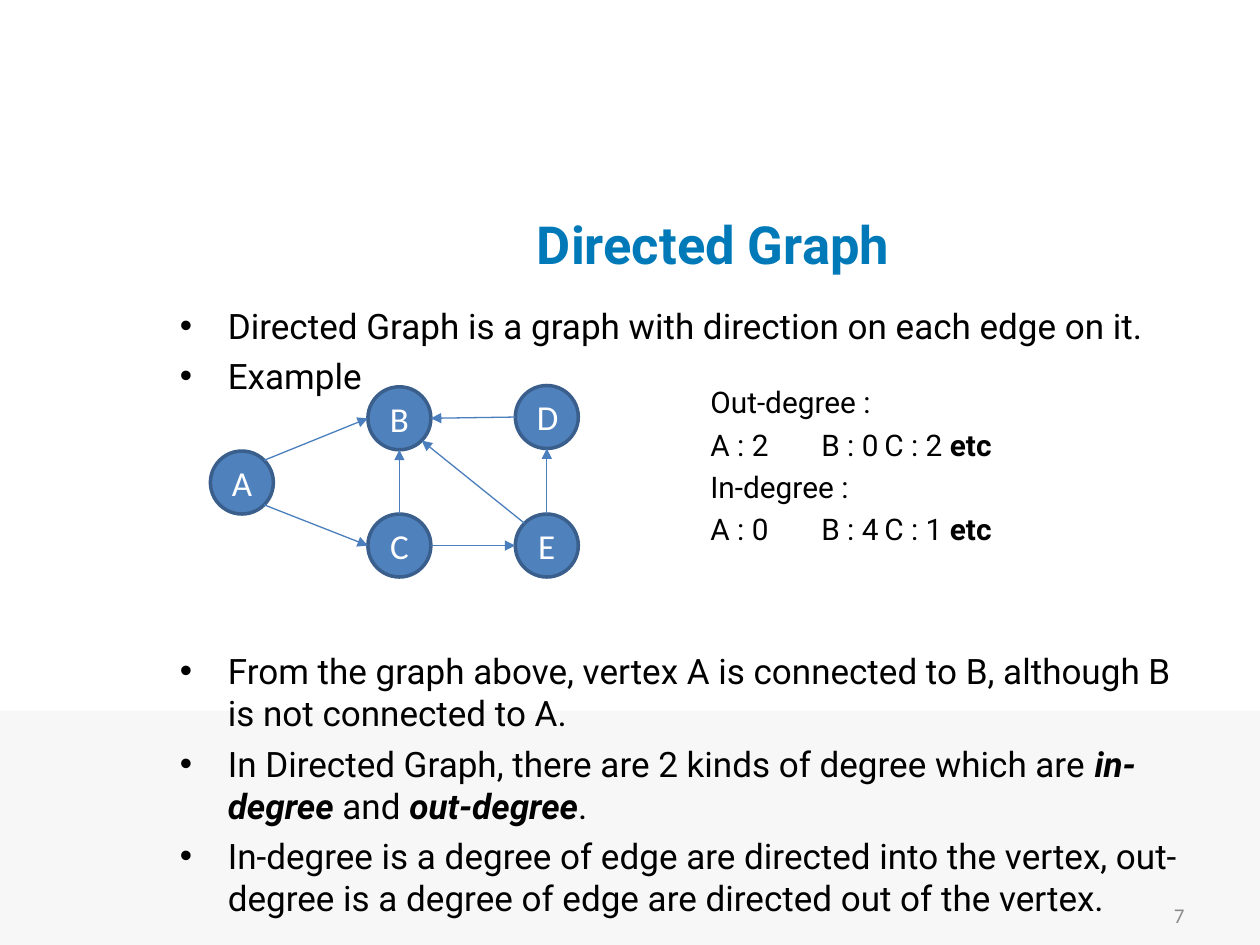
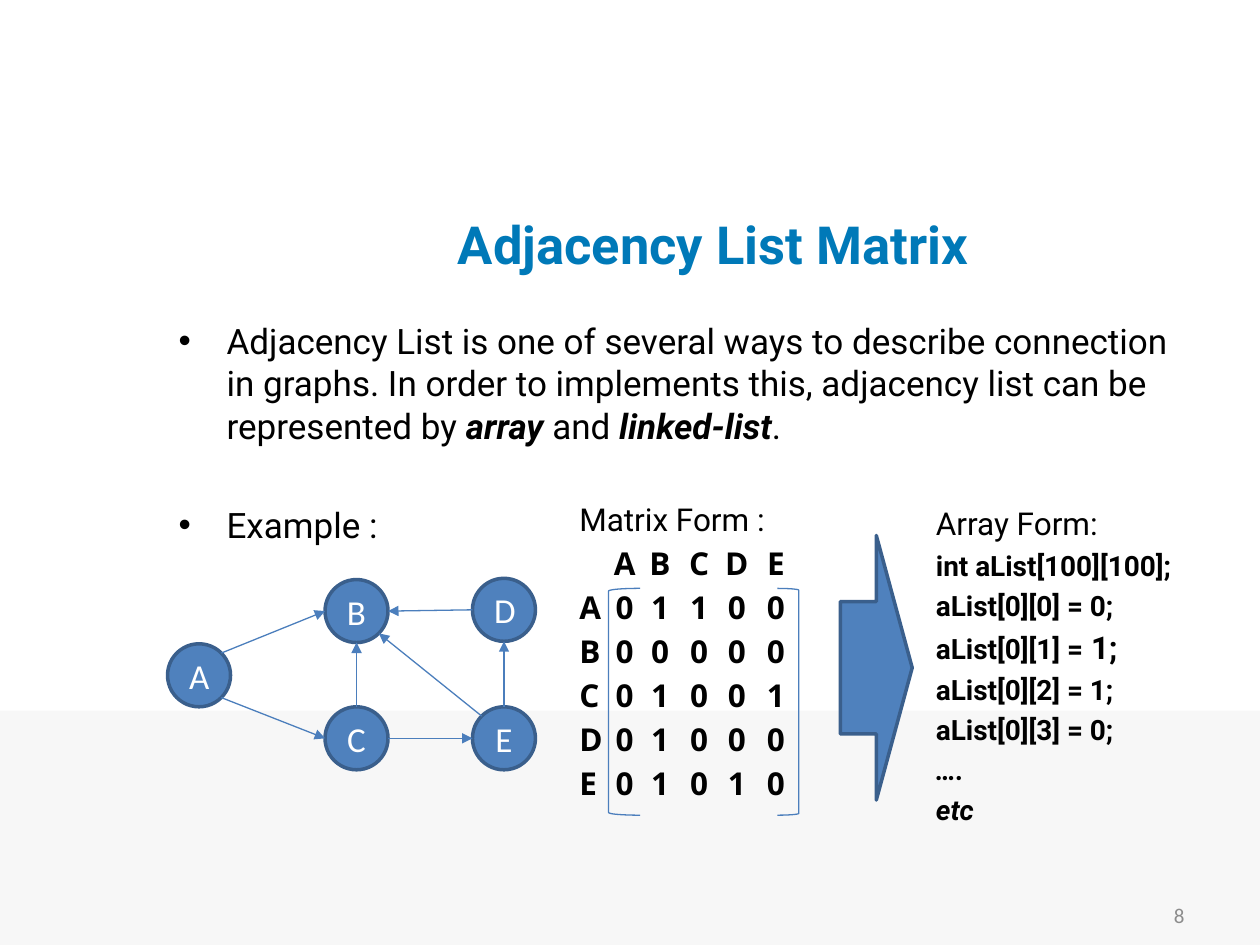
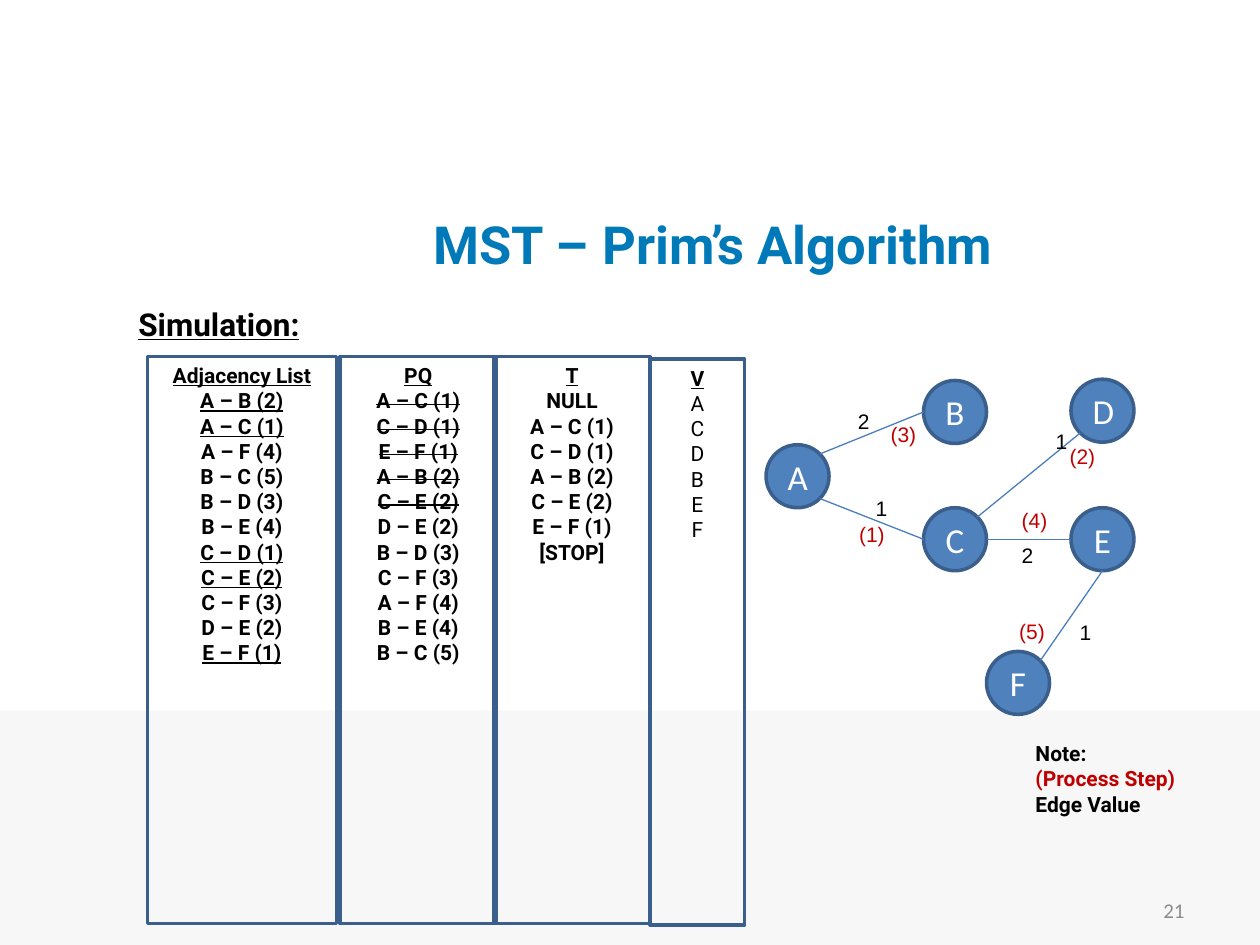
"""Build three slides on directed graphs, adjacency matrices and Prim's algorithm."""
from math import cos, radians, sin

from lxml.etree import SubElement
from pptx import Presentation
from pptx.dml.color import RGBColor
from pptx.enum.shapes import MSO_CONNECTOR as Connector, MSO_SHAPE as Shape
from pptx.enum.text import MSO_ANCHOR as Anchor, PP_ALIGN as Align
from pptx.oxml.ns import qn
from pptx.util import Inches, Pt

COLORS = {
    "band": "F7F7F7", "title": "0079B8", "number": "8C8C8C", "text": "000000",
    "node": "4F81BD", "outline": "3A5F8C", "edge": "4B7EBC", "white": "FFFFFF",
    "step": "C00000",
}
RADIUS = 0.25
NODES = {"A": (0, 0), "B": (1.25, -0.51), "C": (1.25, 0.5),
         "D": (2.42, -0.52), "E": (2.42, 0.5), "F": (1.75, 1.64)}
ANGLES = {"E": 0, "SE": 45, "S": 90, "SW": 135, "W": 180, "NW": 225, "N": 270, "NE": 315}
DIRECTED = ["A.NE B.W", "A.SE C.W", "C.N B.S", "C.E E.W", "E.N D.S", "E.NW B.SE", "D.W B.E"]
TREE = ["A.NE B.W", "A.SE C.W", "C.E E.W", "D.SW C.NE", "F.NE E.S"]


def place(page, at, paragraphs=(), kind=None, fill=None, line=None, width=2, align=Align.LEFT,
          anchor=Anchor.TOP, wrap=True, hanging=0, bullet=False, gap=0, tabs=(), **base):
    """Add a text box or preset shape; spans are strings or (text, format) pairs."""
    place_at = [Inches(value) for value in at]
    if kind is None:
        box = page.shapes.add_textbox(*place_at)
    else:
        box = page.shapes.add_shape(kind, *place_at)
        box.shadow.inherit = False
        if fill:
            box.fill.solid()
            box.fill.fore_color.rgb = RGBColor.from_string(COLORS[fill])
        else:
            box.fill.background()
        if line:
            box.line.color.rgb = RGBColor.from_string(COLORS[line])
            box.line.width = Pt(width)
        else:
            box.line.fill.background()
    frame = box.text_frame
    frame.word_wrap = wrap
    frame.vertical_anchor = anchor
    for index, spans in enumerate(paragraphs):
        para = frame.paragraphs[0] if index == 0 else frame.add_paragraph()
        para.alignment = align
        spans = spans if isinstance(spans, list) else [spans]
        for item in spans:
            text, extra = item if isinstance(item, tuple) else (item, {})
            style = {"size": 12, "font": "Roboto", "color": "text", **base, **extra}
            span = para.add_run()
            span.text = text
            span.font.size = Pt(style["size"])
            span.font.name = style["font"]
            span.font.color.rgb = RGBColor.from_string(COLORS[style["color"]])
            span.font.bold = style.get("bold", False)
            span.font.italic = style.get("italic", False)
            span.font.underline = style.get("underline", False)
            if style.get("strike"):
                span.font._element.set("strike", "sngStrike")
        para.space_before = Pt(gap)
        properties = para._p.get_or_add_pPr()
        if hanging:
            properties.set("marL", str(Inches(hanging)))
            properties.set("indent", str(-Inches(hanging)))
        if bullet:
            SubElement(properties, qn("a:buFont"), typeface="Arial")
            SubElement(properties, qn("a:buChar"), char="•")
        if tabs:
            stops = SubElement(properties, qn("a:tabLst"))
            for stop in tabs:
                SubElement(stops, qn("a:tab"), pos=str(Inches(stop)), algn="ctr")
    return box


def draw_graph(page, left, top, names, edges, arrows):
    """Draw lettered nodes with node A at left, top, joined from site to site."""
    for name in names:
        x, y = NODES[name]
        place(page, (left + x, top + y, 2 * RADIUS, 2 * RADIUS), [name], kind=Shape.OVAL,
              fill="node", line="outline", align=Align.CENTER, anchor=Anchor.MIDDLE,
              size=20, font="Calibri", color="white")
    for edge in edges:
        ends = []
        for end in edge.split():
            name, site = end.split(".")
            x, y = NODES[name]
            angle = radians(ANGLES[site])
            ends += [Inches(left + x + RADIUS * (1 + cos(angle))),
                     Inches(top + y + RADIUS * (1 + sin(angle)))]
        link = page.shapes.add_connector(Connector.STRAIGHT, *ends)
        link.line.color.rgb = RGBColor.from_string(COLORS["edge"])
        link.line.width = Pt(0.75)
        if arrows:
            SubElement(link.line._get_or_add_ln(), qn("a:tailEnd"), type="triangle")
        SubElement(link._element.spPr, qn("a:effectLst"))


deck = Presentation()
deck.slide_width, deck.slide_height = Inches(10), Inches(7.5)
pages = []
for title, number, number_top in [("Directed Graph", "7", 7.06), ("Adjacency List Matrix", "8", 7.06),
                                  ("MST – Prim’s Algorithm", "21", 7.02)]:
    page = deck.slides.add_slide(deck.slide_layouts[6])
    place(page, (0, 5.64, 10, 1.86), kind=Shape.RECTANGLE, fill="band")
    place(page, (1.92, 1.5, 7.48, 0.87), [title], align=Align.CENTER, anchor=Anchor.MIDDLE,
          size=30, color="title", bold=True)
    place(page, (7.17, number_top, 2.33, 0.4), [number], align=Align.RIGHT, anchor=Anchor.MIDDLE,
          font="Calibri", color="number")
    pages.append(page)
directed, adjacency, prim = pages
bold = {"bold": True}
strong = {"bold": True, "italic": True}

body = place(directed, (1.33, 2.37, 8.25, 4.69), [
    "Directed Graph is a graph with direction on each edge on it.",
    "Example",
    "From the graph above, vertex A is connected to B, although B is not connected to A.",
    ["In Directed Graph, there are 2 kinds of degree which are ", ("in-degree", strong),
     " and ", ("out-degree", strong), "."],
    "In-degree is a degree of edge are directed into the vertex, out-degree is a degree of edge "
    "are directed out of the vertex.",
], size=20, hanging=0.38, bullet=True, gap=4.6)
body.text_frame.paragraphs[2].space_before = Pt(144.6)
draw_graph(directed, 1.67, 3.58, "ABCDE", DIRECTED, arrows=True)
place(directed, (5.54, 3, 3.33, 1.38), [
    "Out-degree :", ["A : 2\tB : 0\tC : 2 ", ("etc", bold)],
    "In-degree :", ["A : 0\tB : 4\tC : 1 ", ("etc", bold)],
], size=17, hanging=0.38, gap=3.7)

body = place(adjacency, (1.32, 2.49, 8.33, 4.69), [
    ["Adjacency List is one of several ways to describe connection in graphs. In order to "
     "implements this, adjacency list can be represented by ", ("array", strong), " and ",
     ("linked-list", strong), "."],
    "Example :",
], size=20, hanging=0.38, bullet=True)
body.text_frame.paragraphs[1].space_before = Pt(32.6)
draw_graph(adjacency, 1.33, 5.11, "ABCDE", DIRECTED, arrows=True)
place(adjacency, (7.33, 3.95, 2.5, 2.75), [
    ("Array Form:", {"size": 18, "bold": False}),
    "int aList[100][100];", "aList[0][0] = 0;", ["aList[0][1] =", (" 1;", {"size": 18})],
    "aList[0][2] = 1;", "aList[0][3] = 0;", ("….", strong), ("etc", strong),
], size=16, bold=True, hanging=0.38, gap=3.7)
rows = ["ABCDE", "A01100", "B00000", "C01001", "D01000", "E01010"]
lines = ["\t" + "\t".join(rows[0])] + ["\t".join(row) for row in rows[1:]]
matrix = place(adjacency, (4.5, 3.92, 2, 2.75),
               [("Matrix Form :", {"font": "Roboto", "bold": False})] + lines,
               size=18, font="Open Sans", bold=True, tabs=(0.36, 0.64, 0.95, 1.25, 1.56))
for para in matrix.text_frame.paragraphs[1:]:
    para.line_spacing = Pt(25.1)
place(adjacency, (6.67, 4.25, 0.57, 2.1), kind=Shape.RIGHT_ARROW, fill="node", line="outline")
for kind, left, width in [(Shape.LEFT_BRACKET, 4.83, 0.25), (Shape.RIGHT_BRACKET, 6.17, 0.17)]:
    place(adjacency, (left, 4.67, width, 1.8), kind=kind, line="edge", width=0.75)

place(prim, (1, 2.37, 2, 0.48), ["Simulation:"], size=18, bold=True, underline=True)
tree_steps = ["NULL", "A – C (1)", "C – D (1)", "A – B (2)", "C – E (2)", "E – F (1)", "[STOP]"]
chosen = tree_steps[1:-1]
adjacent = ["A – B (2)", "A – C (1)", "A – F (4)", "B – C (5)", "B – D (3)", "B – E (4)",
            "C – D (1)", "C – E (2)", "C – F (3)", "D – E (2)", "E – F (1)"]
queue = ["A – C (1)", "C – D (1)", "E – F (1)", "A – B (2)", "C – E (2)", "D – E (2)",
         "B – D (3)", "C – F (3)", "A – F (4)", "B – E (4)", "B – C (5)"]
columns = [
    ("T", (3.92, 2.83, 1.24, 4.5), tree_steps),
    ("V", (5.16, 2.85, 0.75, 4.49), [(name, {"bold": False}) for name in "ACDBEF"]),
    ("Adjacency List", (1.17, 2.83, 1.5, 4.5),
     [(edge, {"underline": edge in chosen}) for edge in adjacent]),
    ("PQ", (2.7, 2.83, 1.24, 4.5), [(edge, {"strike": edge in chosen}) for edge in queue]),
]
for heading, at, entries in columns:
    place(prim, at, [(heading, {"underline": True})] + entries, kind=Shape.RECTANGLE,
          line="outline", align=Align.CENTER, bold=True)
draw_graph(prim, 6.08, 3.53, "ABCDEF", TREE, arrows=False)
weights = [("2", 6.71, 3.19), ("1", 8.28, 3.35), ("1", 6.85, 3.88), ("1", 8.47, 4.87), ("2", 8.01, 4.26)]
steps = [("(1)", 6.72, 4.09), ("(2)", 8.39, 3.47), ("(4)", 8.01, 3.98), ("(5)", 7.99, 4.86), ("(3)", 6.97, 3.3)]
for labels, width, color in [(weights, 0.29, "text"), (steps, 0.41, "step")]:
    for label, left, top in labels:
        place(prim, (left, top, width, 0.3), [label], wrap=False, font="Arial", color=color)
place(prim, (8.12, 5.83, 1.44, 0.71), ["Note:", ("(Process Step)", {"color": "step"}), "Edge Value"],
      wrap=False, bold=True)
deck.save("out.pptx")
